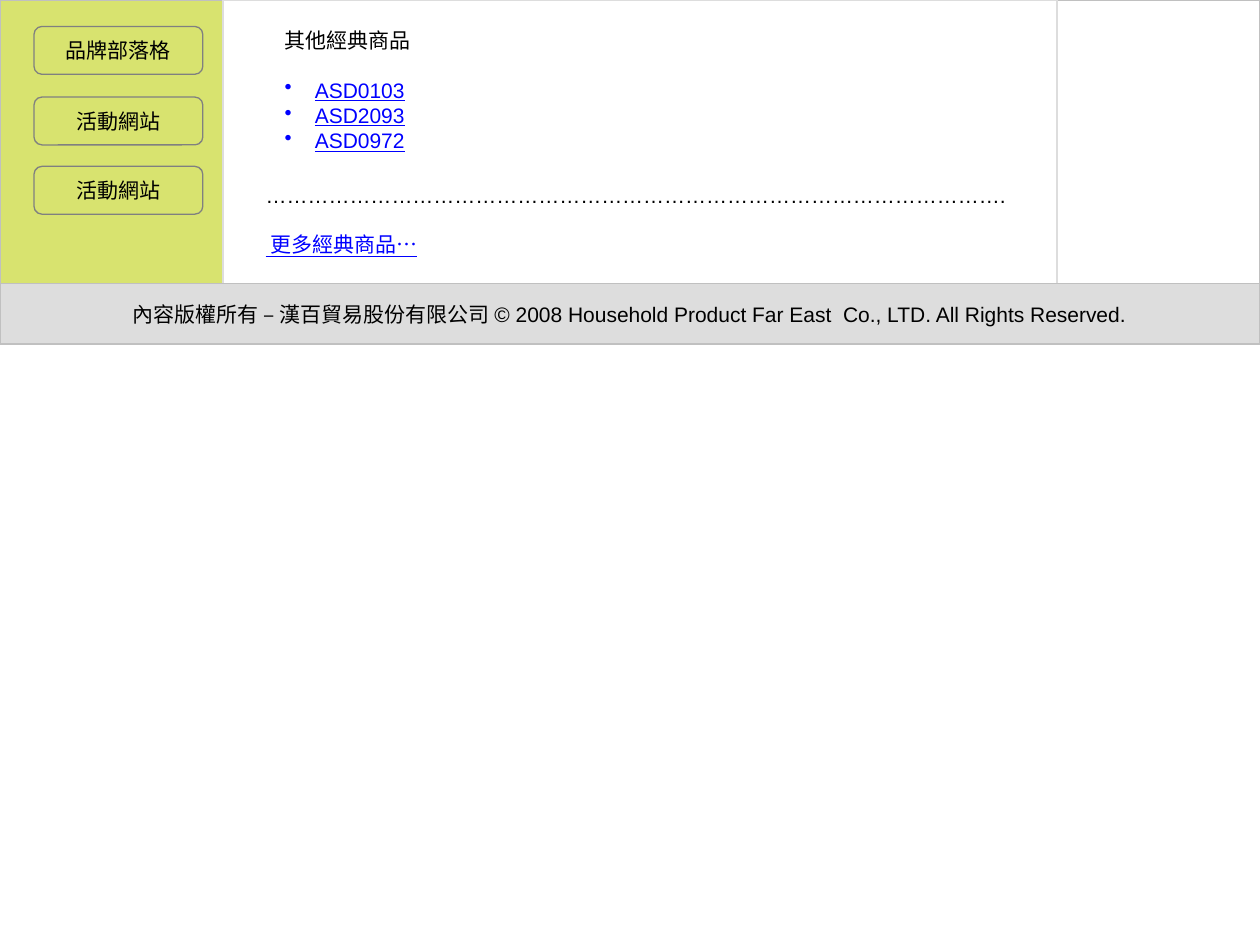
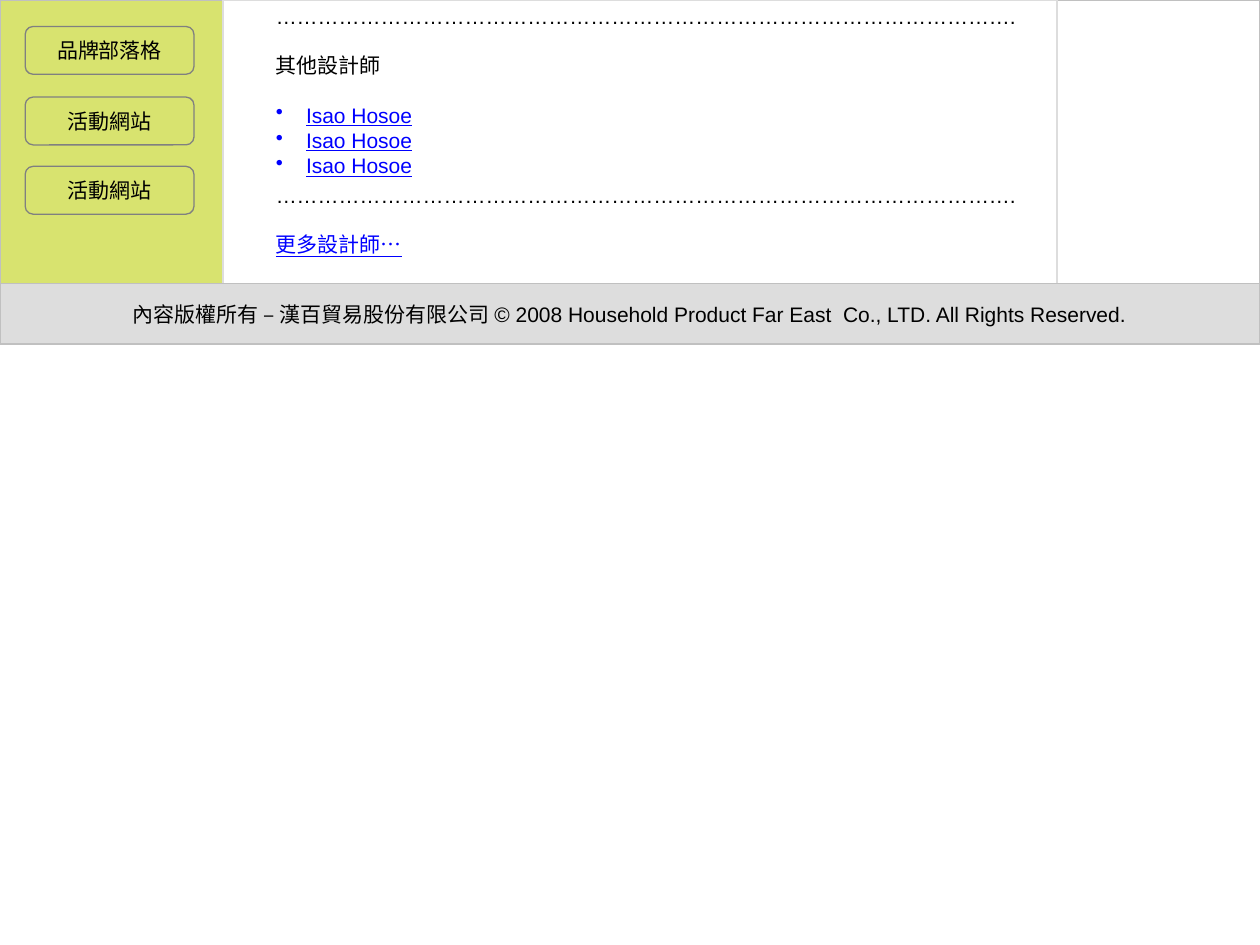
import pptx
import pptx.dml.color
import pptx.enum.shapes
import pptx.enum.text
import pptx.util
from lxml import etree

Inches, Pt = pptx.util.Inches, pptx.util.Pt
RGB = pptx.dml.color.RGBColor
SHAPE = pptx.enum.shapes.MSO_SHAPE
ANCHOR = pptx.enum.text.MSO_ANCHOR
ALIGN = pptx.enum.text.PP_ALIGN

LIME = RGB(0xD8, 0xE3, 0x6F)
WHITE = RGB(0xFF, 0xFF, 0xFF)
BLACK = RGB(0, 0, 0)
BLUE = RGB(0, 0, 0xFF)
PALE = RGB(0xDD, 0xDD, 0xDD)
SILVER = RGB(0xC0, 0xC0, 0xC0)
GRAY = RGB(0x80, 0x80, 0x80)

FONT, SIZE = "Arial", Pt(12)
GAP = Pt(13.8)
LEAD = Pt(14.5)
HANG = Inches(0.24)
DEPTH = 2.25

# Each line of text: (kind, words, gap above)
RULE = ("plain", "…………………………………………………………………………………………….", False)
BUTTONS = ["品牌部落格", "活動網站", "活動網站"]
BUTTON_TOPS = [0.21, 0.77, 1.32]
NOTICE = ("內容版權所有 – 漢百貿易股份有限公司 © 2008 "
          "Household Product Far East  Co., LTD. All Rights Reserved.")
COLUMNS = [
    (0, 1.77, LIME, SILVER),
    (8.39, 1.61, WHITE, SILVER),
    (1.77, 6.62, WHITE, PALE),
]
PAGES = [
    {
        "button_left": 0.27,
        "texts": [
            ((2.01, 1.39, 6.25, 0.71), ANCHOR.MIDDLE,
             [RULE, ("link", " 更多經典商品…", True)]),
            ((2.16, 0.17, 5.91, 1.3), ANCHOR.TOP,
             [("plain", "其他經典商品", False),
              ("item", "ASD0103", True),
              ("item", "ASD2093", False),
              ("item", "ASD0972", False)]),
        ],
    },
    {
        "button_left": 0.2,
        "texts": [
            ((2.09, 0.05, 6.25, 1.34), ANCHOR.MIDDLE,
             [RULE,
              ("plain", "其他設計師", True),
              ("item", "Isao Hosoe", True),
              ("item", "Isao Hosoe", False),
              ("item", "Isao Hosoe", False)]),
            ((2.09, 1.39, 6.25, 0.71), ANCHOR.MIDDLE,
             [RULE, ("link", "更多設計師…", True)]),
        ],
    },
]


def write(para, words, color=BLACK, under=None):
    run = para.add_run()
    run.text = words
    font = run.font
    font.name, font.size = FONT, SIZE
    font.color.rgb = color
    font.underline = under


def bullet(para):
    props = para._p.get_or_add_pPr()
    props.set("marL", str(HANG))
    props.set("indent", str(-HANG))
    tint = etree.SubElement(props, pptx.oxml.ns.qn("a:buClr"))
    etree.SubElement(tint, pptx.oxml.ns.qn("a:srgbClr"), val=str(BLUE))
    etree.SubElement(props, pptx.oxml.ns.qn("a:buChar"), char="•")
    para.line_spacing = LEAD


def panel(slide, kind, area, fill, line):
    shape = slide.shapes.add_shape(kind, *map(Inches, area))
    shape.shadow.inherit = False
    shape.fill.solid()
    shape.fill.fore_color.rgb = fill
    shape.line.color.rgb = line
    shape.line.width = Pt(0.75)
    return shape


def label(shape, words):
    """Centre one line of text in a shape."""
    frame = shape.text_frame
    frame.word_wrap = False
    frame.vertical_anchor = ANCHOR.MIDDLE
    para = frame.paragraphs[0]
    para.alignment = ALIGN.CENTER
    write(para, words)


def block(slide, area, anchor, lines):
    """Add a text box holding plain, link and bullet lines."""
    frame = slide.shapes.add_textbox(*map(Inches, area)).text_frame
    frame.word_wrap = True
    frame.vertical_anchor = anchor
    for i, (kind, words, gap) in enumerate(lines):
        para = frame.add_paragraph() if i else frame.paragraphs[0]
        if kind == "item":
            bullet(para)
        if gap:
            para.space_before = GAP
        if kind == "plain":
            write(para, words)
        else:
            write(para, words, BLUE, True)


def build(slide, page):
    for left, width, fill, line in COLUMNS:
        panel(slide, SHAPE.RECTANGLE, (left, 0, width, DEPTH), fill, line)
    label(panel(slide, SHAPE.RECTANGLE, (0, DEPTH, 10, 0.48), PALE, SILVER),
          NOTICE)
    for text in page["texts"]:
        block(slide, *text)
    for top, words in zip(BUTTON_TOPS, BUTTONS):
        area = (page["button_left"], top, 1.34, 0.38)
        button = panel(slide, SHAPE.ROUNDED_RECTANGLE, area, LIME, GRAY)
        button.adjustments[0] = 0.167
        frame = button.text_frame
        frame.margin_left = frame.margin_right = Inches(0.06)
        frame.margin_top = frame.margin_bottom = Inches(0.03)
        label(button, words)


def main():
    deck = pptx.Presentation()
    deck.slide_width, deck.slide_height = Inches(10), Inches(7.5)
    for page in PAGES:
        build(deck.slides.add_slide(deck.slide_layouts[6]), page)
    deck.save("out.pptx")


if __name__ == "__main__":
    main()
